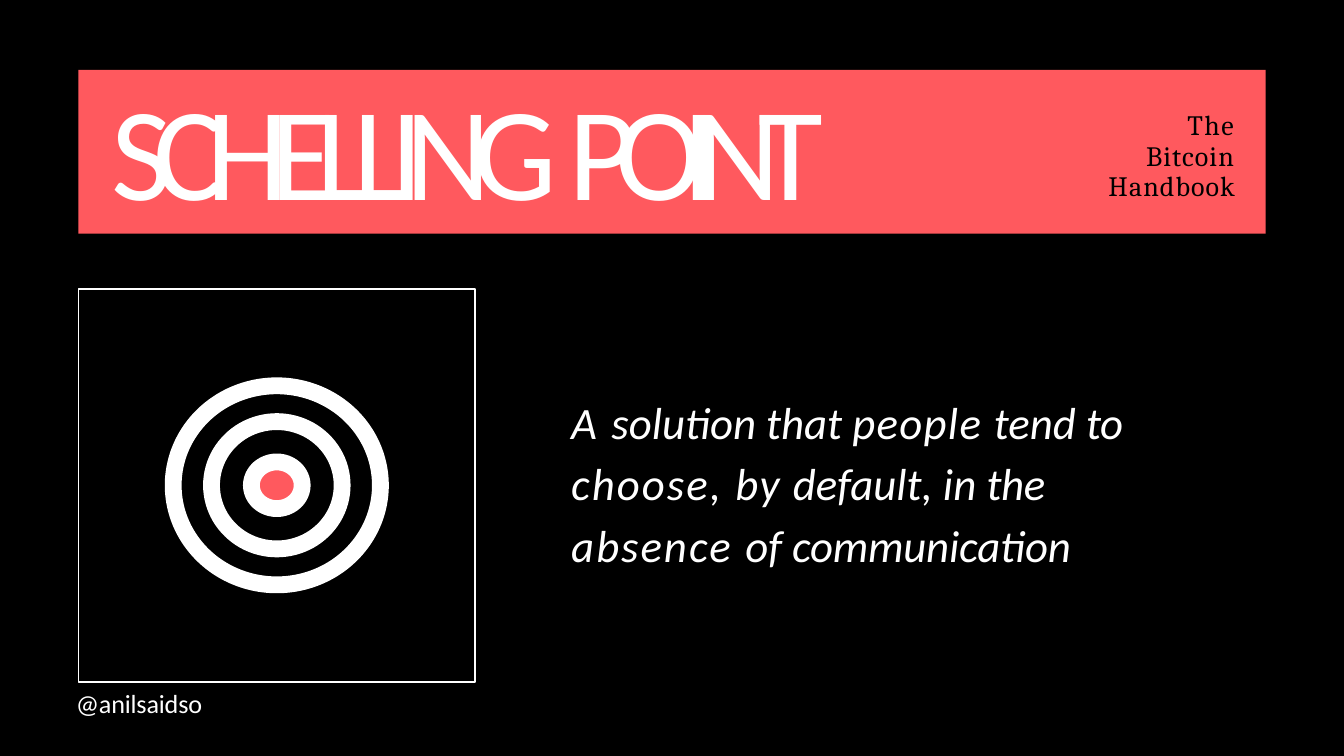
from dataclasses import dataclass
from typing import Any, NamedTuple

from pptx import Presentation
from pptx import util as u
from pptx.dml.color import RGBColor
from pptx.enum import shapes, text

Pt = u.Pt


@dataclass(frozen=True)
class Theme:
    black: str = "000000"
    white: str = "FFFFFF"
    coral: str = "FF595E"
    sans: str = "Calibri"
    serif: str = "Cambria"
    title: float = 71
    quote: float = 24
    brand: float = 15
    handle: float = 14
    thin: float = 0.75
    thick: float = 9


class Box(NamedTuple):
    left: float
    top: float
    width: float
    height: float


class Span(NamedTuple):
    words: str
    gap: float = 0


@dataclass(frozen=True)
class Block:
    box: Box
    spans: tuple[Span, ...]
    size: float
    face: str
    color: str
    inset: float = 1.7
    margin: float = 0.7
    indent: float = 0
    align: Any = text.PP_ALIGN.LEFT
    lead: Any = 1.0
    italic: bool = False


@dataclass(frozen=True)
class Form:
    kind: Any
    box: Box
    fill: str | None = None
    line: str | None = None
    weight: float = 0


def assign(item: Any, values: dict[str, Any]) -> None:
    for name, value in values.items():
        setattr(item, name, value)


def paint(fill: Any, color: str | None) -> None:
    if color is None:
        fill.background()
    else:
        fill.solid()
        fill.fore_color.rgb = RGBColor.from_string(color)


def draw(slide: Any, form: Form) -> None:
    shape = slide.shapes.add_shape(form.kind, *map(Pt, form.box))
    shape.shadow.inherit = False
    paint(shape.fill, form.fill)
    paint(shape.line.fill, form.line)
    if form.line:
        shape.line.width = Pt(form.weight)


def write(shape: Any, block: Block) -> None:
    assign(shape, {k: Pt(v) for k, v in block.box._asdict().items()})
    frame = shape.text_frame
    assign(frame, {
        "word_wrap": True,
        "auto_size": text.MSO_AUTO_SIZE.NONE,
        "vertical_anchor": text.MSO_ANCHOR.TOP,
        "margin_left": 0,
        "margin_right": 0,
        "margin_top": Pt(block.inset),
        "margin_bottom": 0,
    })
    para = frame.paragraphs[0]
    assign(para, {"alignment": block.align, "line_spacing": block.lead, "space_before": Pt(0)})
    props = para._p.get_or_add_pPr()
    props.set("marL", str(Pt(block.margin)))
    props.set("indent", str(Pt(block.indent)))
    for span in block.spans:
        run = para.add_run()
        run.text = span.words
        assign(run.font, {"name": block.face, "size": Pt(block.size), "italic": block.italic})
        run.font.color.rgb = RGBColor.from_string(block.color)
        run.font._element.set("spc", str(round(span.gap * 100)))


def main() -> None:
    look = Theme()
    deck = Presentation()
    assign(deck, {"slide_width": Pt(720), "slide_height": Pt(405)})
    slide = deck.slides.add_slide(deck.slide_layouts[5])
    paint(slide.background.fill, look.black)

    rect, oval = shapes.MSO_SHAPE.RECTANGLE, shapes.MSO_SHAPE.OVAL
    draw(slide, Form(rect, Box(42, 154.8, 212.5, 210.6), line=look.white, weight=look.thin))
    draw(slide, Form(rect, Box(42, 37.5, 636, 87.7), fill=look.coral))

    mid, center = 148.3, 260
    rings = ((111, 106.6, None), (70, 68.2, None), (27.2, 25, look.coral))
    for wide, high, fill in rings:
        box = Box(mid - wide / 2, center - high / 2, wide, high)
        draw(slide, Form(oval, box, fill, look.white, look.thick))

    title = Block(
        Box(59, 34.6, 509, 88.6),
        (Span("SCHELLING ", -9.9), Span("POINT", -11.4)),
        look.title, look.sans, look.white,
    )
    quote = Block(
        Box(305.3, 205.2, 306, 101.5),
        (
            Span("A ", 1.1), Span("solution that "), Span("people ", 0.7),
            Span("tend "), Span("to ", -0.2), Span("choose, ", 1.1),
            Span("by ", 0.8), Span("default, in "), Span("the ", -0.2),
            Span("absence ", 1.1), Span("of "), Span("communication", -0.1),
        ),
        look.quote, look.sans, look.white, lead=1.15, italic=True,
    )
    handle = Block(
        Box(39.9, 366.5, 72, 18.7), (Span("@anilsaidso", -0.1),),
        look.handle, look.sans, look.white,
    )
    brand = Block(
        Box(583.9, 53.3, 77.8, 53.3),
        (Span("The ", 0.8), Span("Bitcoin Handbook", 0.6)),
        look.brand, look.serif, look.black, inset=5.7, margin=0, indent=48,
        align=text.PP_ALIGN.RIGHT, lead=Pt(16.5),
    )
    write(slide.shapes.title, title)
    for block in (quote, handle, brand):
        write(slide.shapes.add_textbox(*map(Pt, block.box)), block)

    tree = slide.shapes._spTree
    tree.append(slide.shapes.title._element)
    deck.save("out.pptx")


if __name__ == "__main__":
    main()
